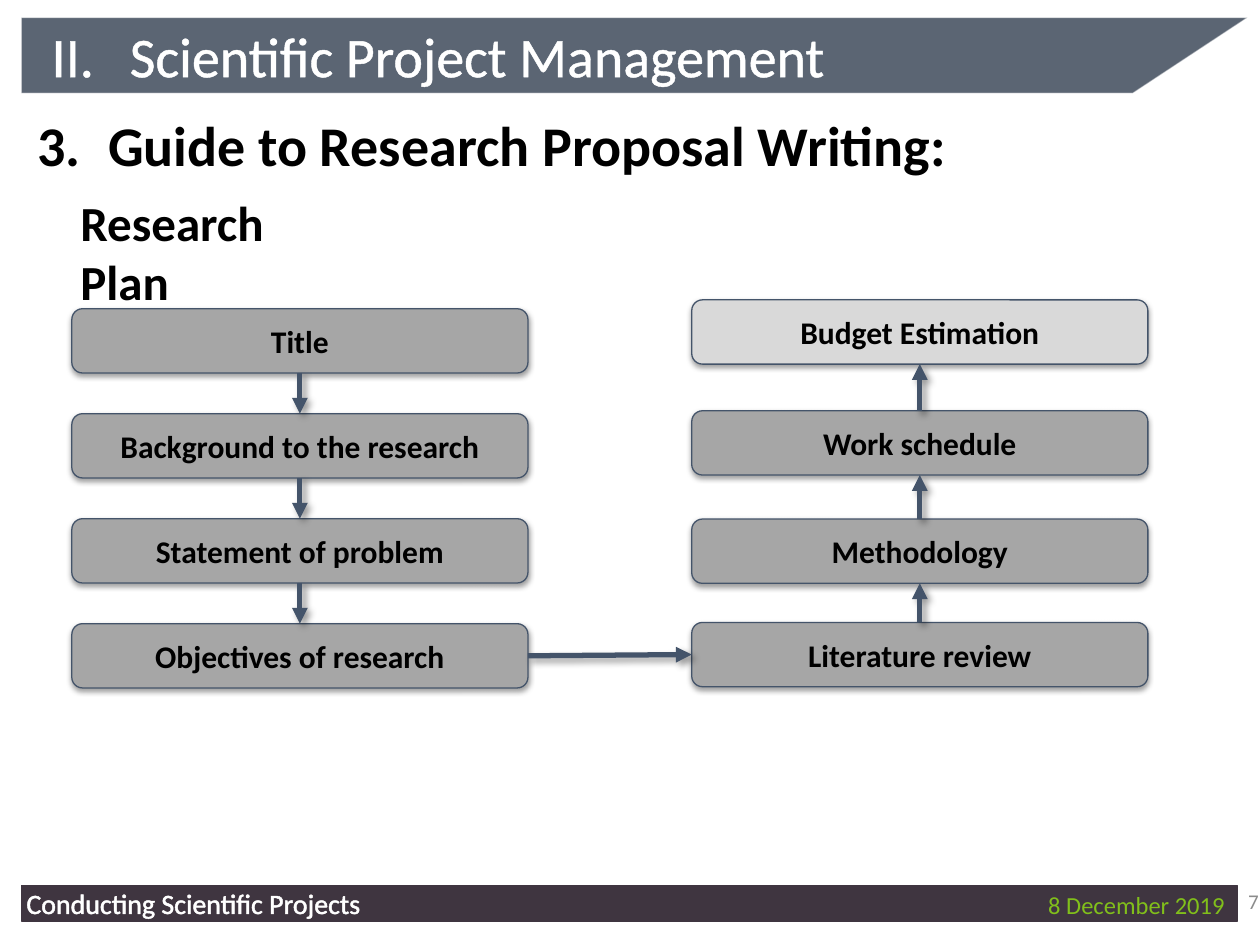
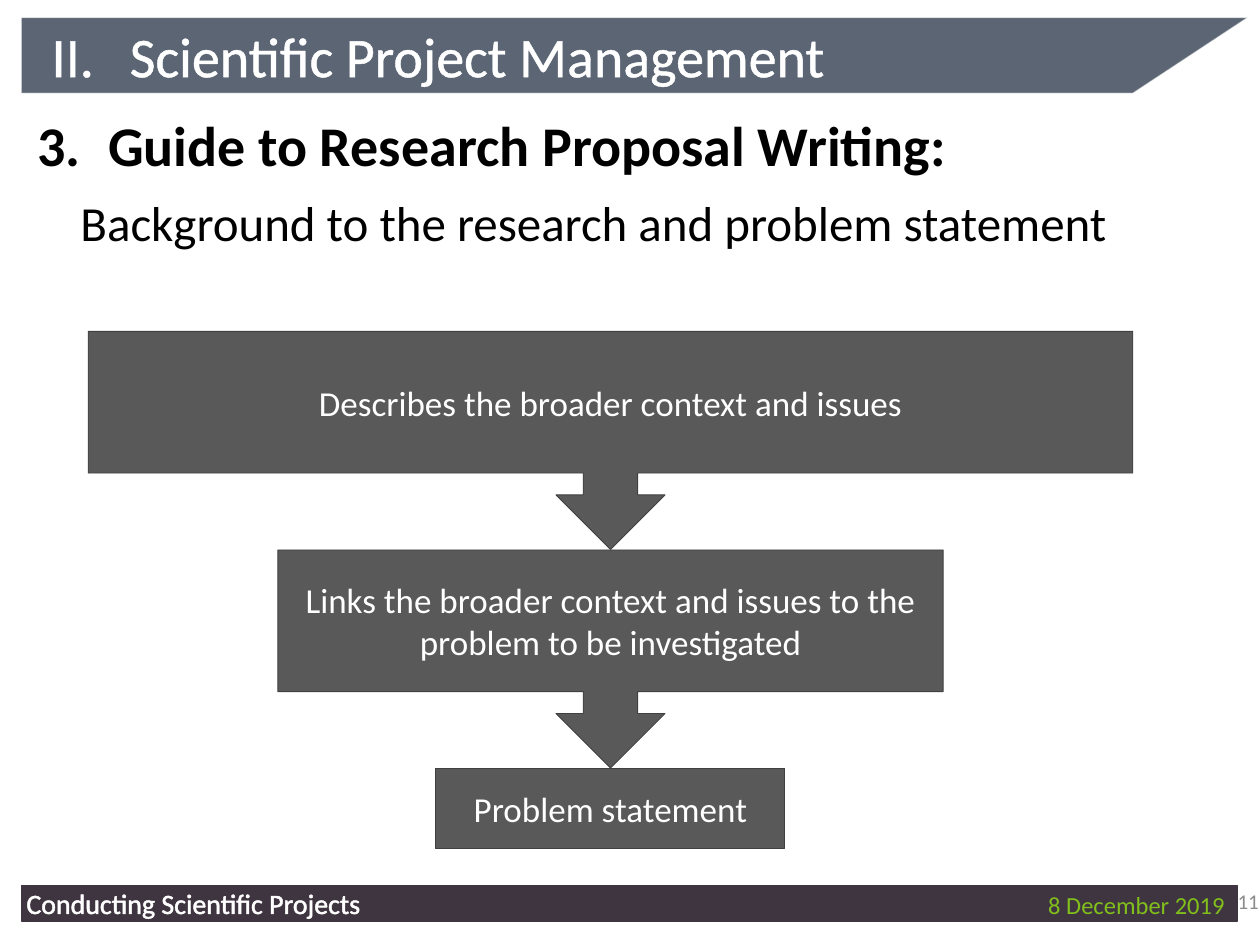
from lxml import etree
from pptx import Presentation
from pptx.dml.color import RGBColor
from pptx.enum.shapes import MSO_CONNECTOR, MSO_SHAPE
from pptx.enum.text import MSO_ANCHOR, MSO_AUTO_SIZE, PP_ALIGN
from pptx.oxml.ns import qn
from pptx.util import Inches, Pt

LEFT, CENTER, RIGHT = PP_ALIGN.LEFT, PP_ALIGN.CENTER, PP_ALIGN.RIGHT
TOP, MIDDLE = MSO_ANCHOR.TOP, MSO_ANCHOR.MIDDLE
RECT, ROUND_RECT = MSO_SHAPE.RECTANGLE, MSO_SHAPE.ROUNDED_RECTANGLE
ARROW_CALLOUT = MSO_SHAPE.DOWN_ARROW_CALLOUT
STRAIGHT = MSO_CONNECTOR.STRAIGHT

HEX = {
    "white": "FFFFFF", "black": "000000", "band": "333F50", "bar": "3F3540",
    "date": "81BF1B", "number": "8C8C8C", "slate": "44546A",
    "step": "A6A6A6", "last step": "D9D9D9", "funnel": "595959", "funnel edge": "404040",
}
COLOR = {name: RGBColor.from_string(value) for name, value in HEX.items()}

prs = Presentation()
prs.slide_width, prs.slide_height = Inches(10), Inches(7.5)
# The grid has 100 columns and 100 rows
COL, ROW = prs.slide_width / 100, prs.slide_height / 100


def place(left, top, width, height):
    return int(left * COL), int(top * ROW), int(width * COL), int(height * ROW)


def write(shape, text, size, color, bold=False, align=LEFT, anchor=MIDDLE,
          inset=True, indent=None, numbering=None, outlined=False):
    frame = shape.text_frame
    frame.text = text
    frame.word_wrap = True
    frame.auto_size = MSO_AUTO_SIZE.NONE
    frame.vertical_anchor = anchor
    if not inset:
        frame.margin_left = frame.margin_right = frame.margin_top = frame.margin_bottom = 0
    paragraph = frame.paragraphs[0]
    paragraph.alignment = align
    font = paragraph.font
    font.name, font.size, font.bold = "Calibri", Pt(size), bold
    font.color.rgb = COLOR[color]
    properties = paragraph._p.get_or_add_pPr()
    if indent:
        properties.set("marL", str(Inches(indent)))
        properties.set("indent", str(-Inches(indent) if numbering else 0))
    if numbering:
        style, start = numbering
        number = etree.Element(qn("a:buAutoNum"), type=style, startAt=str(start))
        properties.insert(0, number)
    if outlined:
        run_properties = paragraph.runs[0]._r.get_or_add_rPr()
        outline = etree.Element(qn("a:ln"), w=str(Pt(1.45)))
        fill = etree.SubElement(outline, qn("a:solidFill"))
        etree.SubElement(fill, qn("a:srgbClr"), val=HEX[color])
        run_properties.insert(0, outline)


# Shared header, topic and footer
pages = [
    ("7", "Research Plan", True, 24.4),
    ("11", "Background to the research and problem statement", False, 85.5),
]
slides = []
for page_number, subtopic, subtopic_bold, subtopic_width in pages:
    slide = prs.slides.add_slide(prs.slide_layouts[5])
    shapes = slide.shapes
    slides.append(slide)

    footer_bar = shapes.add_shape(RECT, *place(1.7, 93.73, 96.5, 3.73))
    footer_bar.shadow.inherit = False
    footer_bar.fill.solid()
    footer_bar.fill.fore_color.rgb = footer_bar.line.color.rgb = COLOR["bar"]
    footer_bar.line.width = Pt(0.6)

    outline = shapes.build_freeform(int(89.9 * COL), int(9.87 * ROW))
    corners = [(1.7, 9.87), (1.7, 1.87), (99, 1.87)]
    outline.add_line_segments([(int(x * COL), int(y * ROW)) for x, y in corners])
    header_band = outline.convert_to_shape()
    header_band.shadow.inherit = False
    header_band.fill.solid()
    header_band.fill.fore_color.rgb = COLOR["band"]
    header_band.line.color.rgb = COLOR["white"]
    header_band.line.width = Pt(0.6)
    band_colors = header_band._element.spPr.iter(qn("a:srgbClr"))
    for band_color, opacity in zip(band_colors, (80, 44)):
        etree.SubElement(band_color, qn("a:alpha"), val=str(opacity * 1000))

    # The title goes in front of its band
    title = shapes.title
    title.left, title.top, title.width, title.height = place(4.1, 2.67, 79.6, 6.27)
    write(title, "Scientific Project Management", 32, "white", inset=False,
          indent=0.62, numbering=("romanUcPeriod", 2), outlined=True)
    shapes._spTree.append(title._element)

    date = shapes.add_textbox(*place(73.8, 93.73, 24.4, 4))
    write(date, "8 December 2019", 14, "date", align=RIGHT)
    number_box = shapes.add_textbox(*place(76.5, 92.67, 24.4, 5.33))
    write(number_box, page_number, 12, "number", align=RIGHT)
    footer = shapes.add_textbox(*place(2.1, 93.6, 37, 3.87))
    write(footer, "Conducting Scientific Projects", 16, "white", inset=False, outlined=True)

    topic = shapes.add_textbox(*place(2, 11.07, 76, 8.53))
    write(topic, "Guide to Research Proposal Writing:", 32, "black", bold=True,
          anchor=TOP, indent=0.56, numbering=("arabicPeriod", 3))
    subtopic_box = shapes.add_textbox(*place(4.4, 19.73, subtopic_width, 7.6))
    write(subtopic_box, subtopic, 28, "black", bold=subtopic_bold, anchor=TOP, indent=0.1)

plan_slide, background_slide = slides

# Research plan: down the left column, then up the right one
DOWN_X, UP_X = 5.7, 54.9
down_labels = ["Title", "Background to the research", "Statement of problem",
               "Objectives of research"]
up_steps = [("Literature review", 65.87), ("Methodology", 54.93),
            ("Work schedule", 43.47), ("Budget Estimation", 31.73)]
plan = [(label, DOWN_X, 32.67 + 11.11 * i) for i, label in enumerate(down_labels)]
plan += [(label, UP_X, top) for label, top in up_steps]

steps, shadows = [], []
for label, left, top in plan:
    step = plan_slide.shapes.add_shape(ROUND_RECT, *place(left, top, 36.2, 6.8))
    step.fill.solid()
    step.fill.fore_color.rgb = COLOR["last step" if label == plan[-1][0] else "step"]
    step.line.color.rgb = COLOR["slate"]
    step.line.width = Pt(0.75)
    write(step, label, 18, "black", bold=True, align=CENTER)
    steps.append(step)
    shadows.append((step, 3.1, 1.6, 90, 38))

for start, end in zip(steps, steps[1:]):
    if start.left != end.left:
        start_side, end_side = 3, 1
    elif start.top < end.top:
        start_side, end_side = 2, 0
    else:
        start_side, end_side = 0, 2
    arrow = plan_slide.shapes.add_connector(STRAIGHT, 0, 0, 0, 0)
    arrow.begin_connect(start, start_side)
    arrow.end_connect(end, end_side)
    arrow.line.color.rgb = COLOR["slate"]
    arrow.line.width = Pt(3)
    etree.SubElement(arrow.line._get_or_add_ln(), qn("a:tailEnd"), type="triangle")
    shadows.append((arrow, 4, 3, 45, 40))

# Soft shadows under steps and arrows
for part, blur, distance, angle, opacity in shadows:
    effects = etree.SubElement(part._element.spPr, qn("a:effectLst"))
    shadow = etree.SubElement(effects, qn("a:outerShdw"), blurRad=str(Pt(blur)),
                              dist=str(Pt(distance)), dir=str(angle * 60000), rotWithShape="0")
    shadow_color = etree.SubElement(shadow, qn("a:srgbClr"), val=HEX["black"])
    etree.SubElement(shadow_color, qn("a:alpha"), val=str(opacity * 1000))

# Background funnel, centred on one axis
FUNNEL_X = 48.45
funnel = [
    ("Describes the broader context and issues", ARROW_CALLOUT, 35.07, 82.9, 23.07),
    ("Links the broader context and issues to the problem to be investigated",
     ARROW_CALLOUT, 58.2, 52.8, 23.07),
    ("Problem statement", RECT, 81.27, 27.7, 8.53),
]
for label, kind, top, width, height in funnel:
    stage = background_slide.shapes.add_shape(
        kind, *place(FUNNEL_X - width / 2, top, width, height))
    stage.shadow.inherit = False
    stage.fill.solid()
    stage.fill.fore_color.rgb = COLOR["funnel"]
    stage.line.color.rgb = COLOR["funnel edge"]
    stage.line.width = Pt(0.5)
    write(stage, label, 20, "white", align=CENTER)

prs.save("out.pptx")
